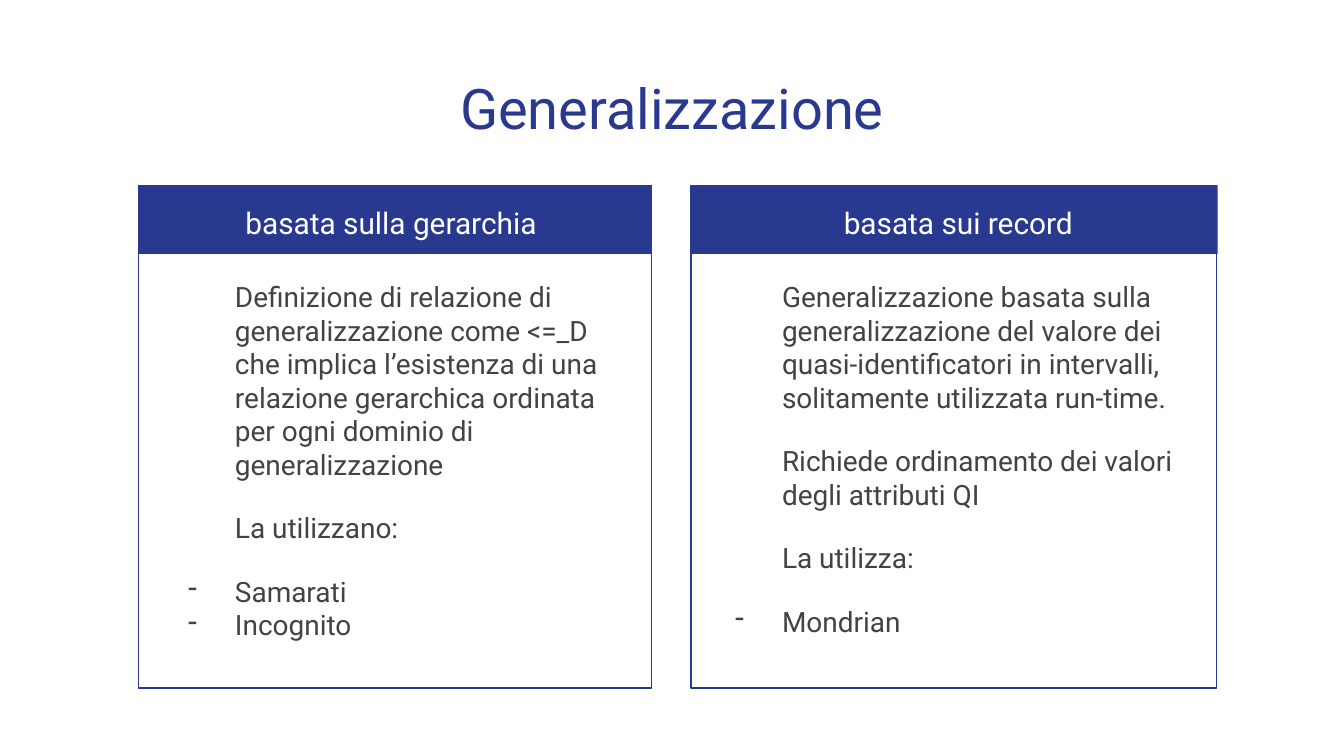
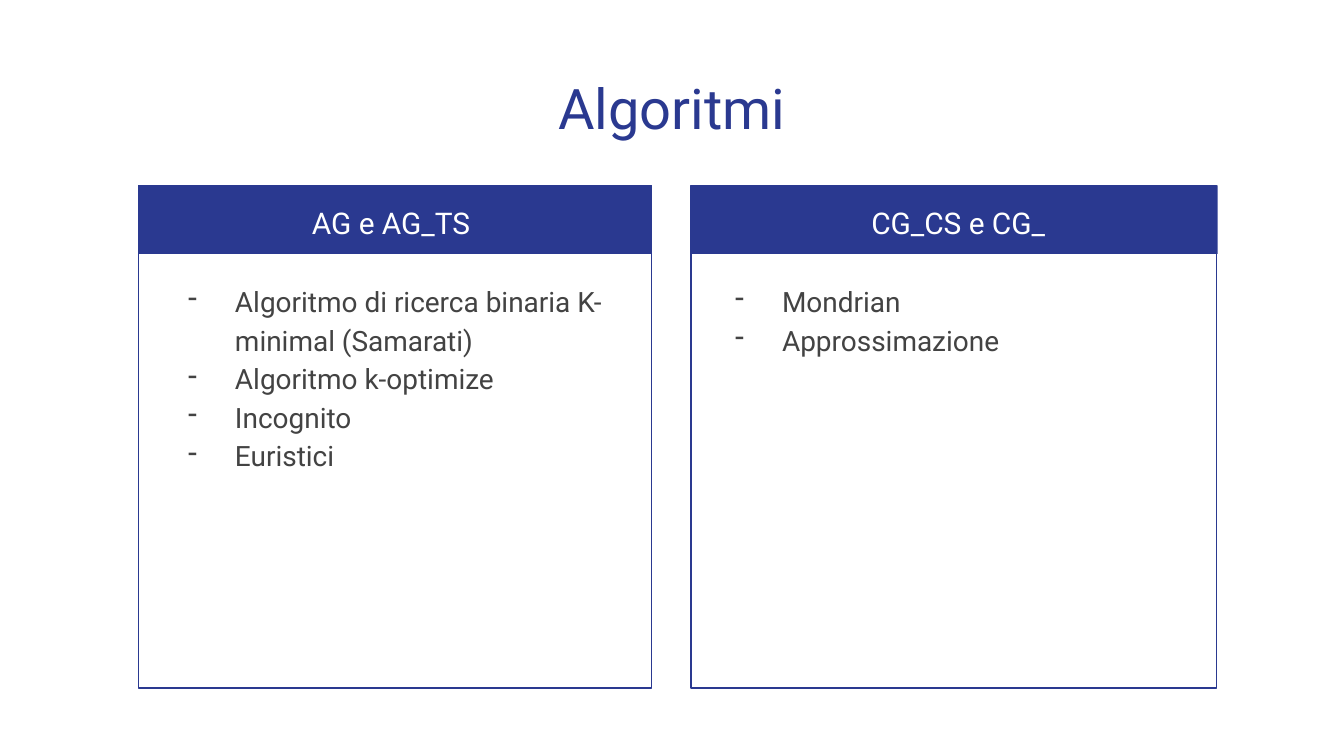
from dataclasses import dataclass

from lxml import etree
from pptx import Presentation
from pptx.dml.color import RGBColor
from pptx.enum.shapes import MSO_SHAPE
from pptx.enum.text import MSO_ANCHOR, PP_ALIGN
from pptx.oxml.ns import qn
from pptx.slide import Slide
from pptx.util import Pt

RECT = MSO_SHAPE.RECTANGLE
TOP = MSO_ANCHOR.TOP
LEFT, CENTER = PP_ALIGN.LEFT, PP_ALIGN.CENTER

FONT = "Roboto"
BLUE, WHITE, GRAY = "2A3990", "FFFFFF", "434343"
INSET = 7.2
INDENT, HANG = 36, 25.2
LOOSE = 1.15

BAND_TOP, BAND_H, FRAME_H = 99.36, 36.72, 269.28
HEAD_H = 36
BODY_TOP, BODY_H = 142.56, 220.32


@dataclass(frozen=True)
class Para:
    text: str
    dash: bool = False
    gap: float = 0


@dataclass(frozen=True)
class Column:
    """Horizontal places of one panel: (left, width) of each part."""
    band: tuple[float, float]
    frame: tuple[float, float]
    head: tuple[float, float]
    body: tuple[float, float]


@dataclass(frozen=True)
class Panel:
    head: str
    paras: list[Para]


@dataclass(frozen=True)
class Page:
    title: str
    panels: list[Panel]
    space: float = 1


COLUMNS = [
    Column((74.16, 275.04), (74.16, 275.04), (74.16, 270.72), (82.8, 260.64)),
    Column((370.8, 281.52), (370.08, 281.52), (375.84, 275.04), (375.84, 267.84)),
]

PAGES = [
    Page("Generalizzazione", [
        Panel("basata sulla gerarchia", [
            Para("Definizione di relazione di generalizzazione come <=_D "
                 "che implica l’esistenza di una relazione gerarchica "
                 "ordinata per ogni dominio di generalizzazione"),
            Para("La utilizzano:", gap=16),
            Para("Samarati", dash=True, gap=16),
            Para("Incognito", dash=True),
        ]),
        Panel("basata sui record", [
            Para("Generalizzazione basata sulla generalizzazione del valore "
                 "dei quasi-identificatori in intervalli, solitamente "
                 "utilizzata run-time."),
            Para("Richiede ordinamento dei valori degli attributi QI", gap=16),
            Para("La utilizza:", gap=16),
            Para("Mondrian", dash=True, gap=16),
        ]),
    ]),
    Page("Algoritmi", [
        Panel("AG e AG_TS", [
            Para("Algoritmo di ricerca binaria K-minimal (Samarati)", dash=True),
            Para("Algoritmo k-optimize", dash=True),
            Para("Incognito", dash=True),
            Para("Euristici", dash=True),
        ]),
        Panel("CG_CS e CG_", [
            Para("Mondrian", dash=True),
            Para("Approssimazione", dash=True),
        ]),
    ], space=LOOSE),
]


def color(code: str) -> RGBColor:
    return RGBColor.from_string(code)


def add_rect(slide: Slide, x: float, y: float, w: float, h: float,
             fill: str | None = None, line: str | None = None) -> None:
    rect = slide.shapes.add_shape(RECT, Pt(x), Pt(y), Pt(w), Pt(h))
    rect.shadow.inherit = False
    if fill:
        rect.fill.solid()
        rect.fill.fore_color.rgb = color(fill)
    else:
        rect.fill.background()
    if line:
        rect.line.color.rgb = color(line)
        rect.line.width = Pt(0.75)
    else:
        rect.line.fill.background()


def set_indent(para, dash: bool, tint: str) -> None:
    """Indent a paragraph and, if asked, hang a dash before it."""
    props = para._p.get_or_add_pPr()
    props.set("marL", str(Pt(INDENT)))
    props.set("indent", str(-Pt(HANG) if dash else 0))
    if dash:
        hue = etree.SubElement(props, qn("a:buClr"))
        etree.SubElement(hue, qn("a:srgbClr"), val=tint)
        etree.SubElement(props, qn("a:buChar"), char="-")


def add_text(slide: Slide, paras: list[Para], x: float, y: float, w: float,
             h: float, *, size: float, tint: str, align: PP_ALIGN = CENTER,
             space: float = 1, indent: bool = False) -> None:
    frame = slide.shapes.add_textbox(Pt(x), Pt(y), Pt(w), Pt(h)).text_frame
    frame.word_wrap = True
    frame.vertical_anchor = TOP
    frame.margin_left = frame.margin_right = Pt(INSET)
    frame.margin_top = frame.margin_bottom = Pt(INSET)
    for i, item in enumerate(paras):
        para = frame.add_paragraph() if i else frame.paragraphs[0]
        para.alignment = align
        para.line_spacing = space
        para.space_before = Pt(item.gap)
        if indent:
            set_indent(para, item.dash, tint)
        run = para.add_run()
        run.text = item.text
        run.font.name = FONT
        run.font.size = Pt(size)
        run.font.color.rgb = color(tint)


def add_panel(slide: Slide, panel: Panel, col: Column, space: float) -> None:
    x, w = col.band
    add_rect(slide, x, BAND_TOP, w, BAND_H, fill=BLUE)
    x, w = col.frame
    add_rect(slide, x, BAND_TOP, w, FRAME_H, line=BLUE)
    x, w = col.head
    add_text(slide, [Para(panel.head)], x, BAND_TOP, w, HEAD_H,
             size=16, tint=WHITE, space=LOOSE)
    x, w = col.body
    add_text(slide, panel.paras, x, BODY_TOP, w, BODY_H, size=15, tint=GRAY,
             align=LEFT, space=space, indent=True)


def main() -> None:
    deck = Presentation()
    deck.slide_width, deck.slide_height = Pt(720), Pt(405)
    blank = deck.slide_layouts[6]
    for page in PAGES:
        slide = deck.slides.add_slide(blank)
        add_text(slide, [Para(page.title)], 24.48, 32.4, 671.04, 47.52,
                 size=30, tint=BLUE)
        for panel, col in zip(page.panels, COLUMNS):
            add_panel(slide, panel, col, page.space)
    deck.save("out.pptx")


if __name__ == "__main__":
    main()
